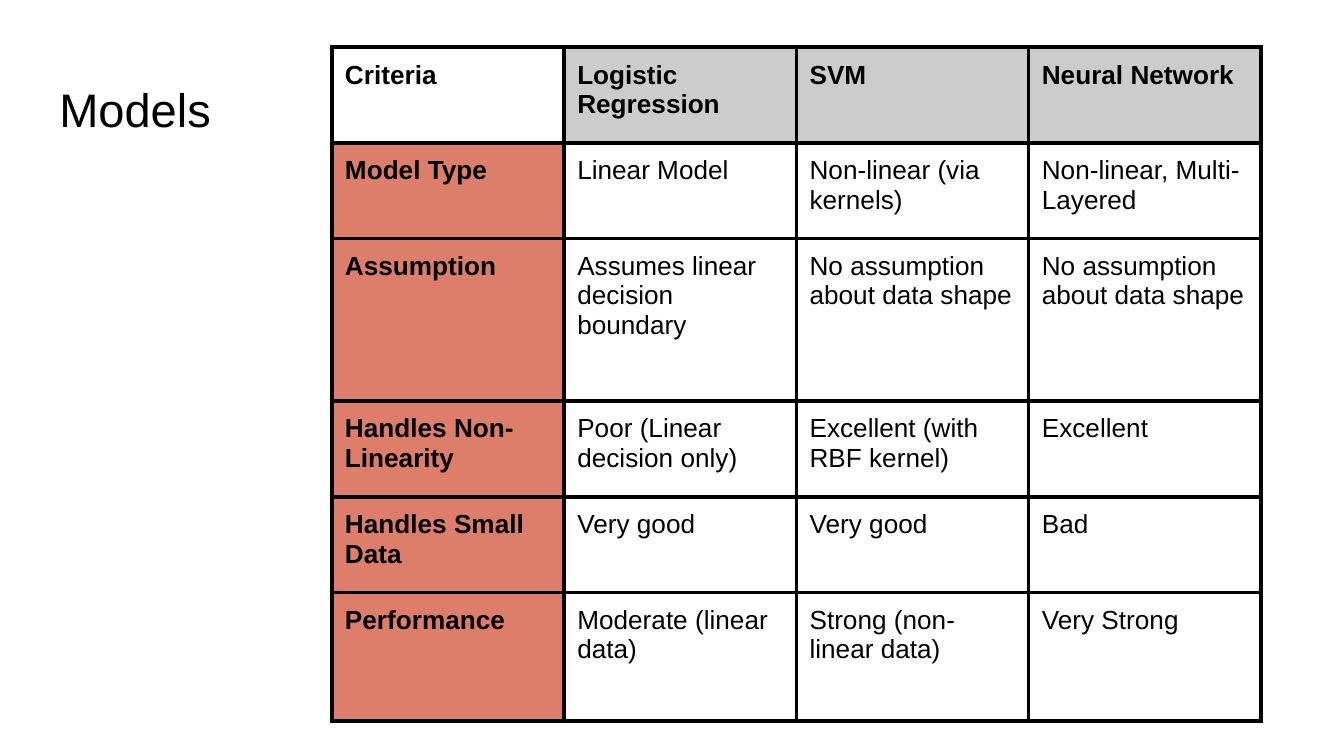
from dataclasses import dataclass
from typing import Optional

from lxml.etree import SubElement
from pptx import Presentation
from pptx.dml.color import RGBColor
from pptx.enum.text import MSO_ANCHOR as Anchor, PP_ALIGN as Align
from pptx.oxml.ns import qn
from pptx.util import Cm, Pt

BLACK = RGBColor(0x00, 0x00, 0x00)
GREY = RGBColor(0xCC, 0xCC, 0xCC)
CORAL = RGBColor(0xDD, 0x7E, 0x6B)
FONT = "Arial"
INSET = Cm(0.25)
BORDER_WIDTH = Pt(2.25)
COLUMN_WIDTH = Cm(4.39)


@dataclass
class Row:
    height: float  # centimetres
    texts: tuple[str, ...]


MODELS = [
    Row(1.81, ("Criteria", "Logistic Regression", "SVM", "Neural Network")),
    Row(1.81, ("Model Type", "Linear Model", "Non-linear (via kernels)",
               "Non-linear, Multi-Layered")),
    Row(3.07, ("Assumption", "Assumes linear decision boundary",
               "No assumption about data shape", "No assumption about data shape")),
    Row(1.81, ("Handles Non-Linearity", "Poor (Linear decision only)",
               "Excellent (with RBF kernel)", "Excellent")),
    Row(1.81, ("Handles Small Data", "Very good", "Very good", "Bad")),
    Row(2.43, ("Performance", "Moderate (linear data)",
               "Strong (non-linear data)", "Very Strong")),
]


def write_text(frame, text: str, size: float, bold: bool = False) -> None:
    paragraph = frame.paragraphs[0]
    paragraph.alignment = Align.LEFT
    run = paragraph.add_run()
    run.text = text
    run.font.name = FONT
    run.font.size = Pt(size)
    run.font.bold = bold
    run.font.color.rgb = BLACK


def set_insets(box) -> None:
    box.margin_left = box.margin_right = INSET
    box.margin_top = box.margin_bottom = INSET


def add_borders(cell) -> None:
    properties = cell._tc.get_or_add_tcPr()
    for side in ("a:lnL", "a:lnR", "a:lnT", "a:lnB"):
        line = SubElement(properties, qn(side), w=str(BORDER_WIDTH))
        fill = SubElement(line, qn("a:solidFill"))
        SubElement(fill, qn("a:srgbClr"), val=str(BLACK))


def format_cell(cell, text: str, bold: bool, color: Optional[RGBColor]) -> None:
    set_insets(cell)
    cell.vertical_anchor = Anchor.TOP
    write_text(cell.text_frame, text, 14, bold)
    add_borders(cell)
    if color is None:
        cell.fill.background()
    else:
        cell.fill.solid()
        cell.fill.fore_color.rgb = color


def header_color(row: int, column: int) -> Optional[RGBColor]:
    if row == 0 and column > 0:
        return GREY
    if column == 0 and row > 0:
        return CORAL
    return None


def add_title(slide, text: str) -> None:
    title = slide.shapes.title
    title.left, title.top = Cm(0.87), Cm(1.25)
    title.width, title.height = Cm(3.8), Cm(1.6)
    frame = title.text_frame
    set_insets(frame)
    frame.word_wrap = True
    frame.vertical_anchor = Anchor.MIDDLE
    write_text(frame, text, 25.2)


def add_model_table(slide, rows: list[Row]) -> None:
    columns = len(rows[0].texts)
    height = Cm(sum(row.height for row in rows))
    table = slide.shapes.add_table(len(rows), columns, Cm(6.27), Cm(0.89),
                                   COLUMN_WIDTH * columns, height).table
    table.first_row = table.horz_banding = False
    for column in table.columns:
        column.width = COLUMN_WIDTH
    for i, row in enumerate(rows):
        table.rows[i].height = Cm(row.height)
        for j, text in enumerate(row.texts):
            is_header = i == 0 or j == 0
            format_cell(table.cell(i, j), text, is_header, header_color(i, j))


def main() -> None:
    presentation = Presentation()
    presentation.slide_width = Cm(25.4)
    presentation.slide_height = Cm(14.29)
    # "Title Only" layout
    slide = presentation.slides.add_slide(presentation.slide_layouts[5])
    add_title(slide, "Models")
    add_model_table(slide, MODELS)
    presentation.save("out.pptx")


if __name__ == "__main__":
    main()
